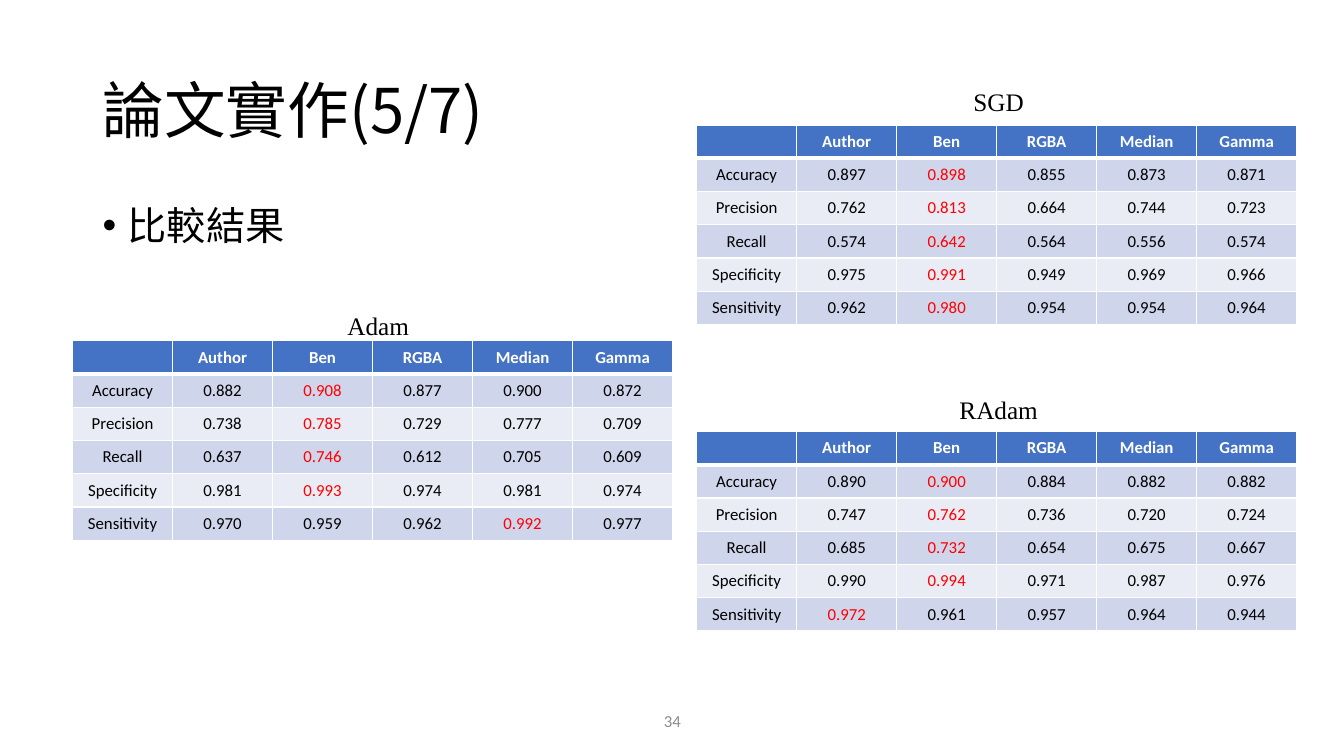
from lxml.etree import SubElement
from pptx import Presentation
from pptx.dml.color import RGBColor
from pptx.enum.text import MSO_ANCHOR as Anchor, PP_ALIGN as Align
from pptx.oxml.ns import qn
from pptx.util import Inches, Pt

COLORS = {"text": "000000", "white": "FFFFFF", "header": "4472C4", "best": "FF0000",
          "odd": "CFD5EA", "even": "E9EBF5", "number": "8C8C8C"}
CJK, SANS, SERIF = "Noto Sans CJK SC", "Calibri", "Times New Roman"
METHODS = ["Author", "Ben", "RGBA", "Median", "Gamma"]
METRICS = ["Accuracy", "Precision", "Recall", "Specificity", "Sensitivity"]
COL_W, ROW_H = 0.992, 0.33
ADAM = [
    [0.882, 0.908, 0.877, 0.900, 0.872],
    [0.738, 0.785, 0.729, 0.777, 0.709],
    [0.637, 0.746, 0.612, 0.705, 0.609],
    [0.981, 0.993, 0.974, 0.981, 0.974],
    [0.970, 0.959, 0.962, 0.992, 0.977],
]
SGD = [
    [0.897, 0.898, 0.855, 0.873, 0.871],
    [0.762, 0.813, 0.664, 0.744, 0.723],
    [0.574, 0.642, 0.564, 0.556, 0.574],
    [0.975, 0.991, 0.949, 0.969, 0.966],
    [0.962, 0.980, 0.954, 0.954, 0.964],
]
RADAM = [
    [0.890, 0.900, 0.884, 0.882, 0.882],
    [0.747, 0.762, 0.736, 0.720, 0.724],
    [0.685, 0.732, 0.654, 0.675, 0.667],
    [0.990, 0.994, 0.971, 0.987, 0.976],
    [0.972, 0.961, 0.957, 0.964, 0.944],
]


def rgb(name):
    """Return the named colour."""
    return RGBColor.from_string(COLORS[name])


def style(p, size, font, color="text", bold=False):
    """Format every run of a paragraph, for Latin and East Asian letters."""
    for r in p.runs:
        r.font.size, r.font.name, r.font.bold = Pt(size), font, bold
        r.font.color.rgb = rgb(color)
        SubElement(r.font._element, qn("a:ea"), typeface=font)


def add_text(s, text, box, size, font, color="text", align=Align.LEFT,
             anchor=Anchor.TOP, spacing=1.0):
    """Add a one-paragraph text box and return its paragraph."""
    tf = s.shapes.add_textbox(*map(Inches, box)).text_frame
    tf.word_wrap, tf.vertical_anchor = True, anchor
    p = tf.paragraphs[0]
    p.text, p.alignment, p.line_spacing = text, align, spacing
    style(p, size, font, color)
    return p


def indent(p, left, first=0.0, bullet=None):
    """Set the paragraph indent and an optional bullet."""
    pPr = p._p.get_or_add_pPr()
    pPr.set("marL", str(Inches(left)))
    pPr.set("indent", str(Inches(first)))
    if bullet:
        SubElement(pPr, qn("a:buFont"), typeface="Arial")
        SubElement(pPr, qn("a:buChar"), char=bullet)


def add_caption(s, text, box):
    """Add the name of an optimizer above its table."""
    indent(add_text(s, text, box, 18, SERIF, align=Align.CENTER, spacing=1.5), 0.5)


def set_borders(cell, top, bottom):
    """Draw white cell borders."""
    tcPr = cell._tc.get_or_add_tcPr()
    for side, width in (("L", 1), ("R", 1), ("T", top), ("B", bottom)):
        ln = SubElement(tcPr, qn(f"a:ln{side}"), w=str(Pt(width)))
        SubElement(SubElement(ln, qn("a:solidFill")), qn("a:srgbClr"), val=COLORS["white"])


def fill_cell(cell, row, text, color, bold):
    """Fill one table cell according to its row."""
    set_borders(cell, 3 if row == 1 else 1, 3 if row == 0 else 1)
    cell.fill.solid()
    cell.fill.fore_color.rgb = rgb("header" if row == 0 else "odd" if row % 2 else "even")
    cell.vertical_anchor = Anchor.MIDDLE
    cell.margin_left = cell.margin_right = Inches(0.07)
    cell.margin_top = cell.margin_bottom = 0
    p = cell.text_frame.paragraphs[0]
    p.text, p.alignment = text, Align.CENTER
    style(p, 12, SANS, color, bold)


def add_scores(s, left, top, scores):
    """Add a table of scores with the best of each metric in red."""
    n_rows, n_cols = len(METRICS) + 1, len(METHODS) + 1
    table = s.shapes.add_table(n_rows, n_cols, Inches(left), Inches(top),
                               Inches(COL_W * n_cols), Inches(ROW_H * n_rows)).table
    for col in table.columns:
        col.width = Inches(COL_W)
    for row in table.rows:
        row.height = Inches(ROW_H)
    for j, name in enumerate([""] + METHODS):
        fill_cell(table.cell(0, j), 0, name, "white", True)
    for i, (metric, values) in enumerate(zip(METRICS, scores), 1):
        fill_cell(table.cell(i, 0), i, metric, "text", False)
        for j, value in enumerate(values, 1):
            color = "best" if value == max(values) else "text"
            fill_cell(table.cell(i, j), i, f"{value:.3f}", color, False)


def main():
    """Build the slide comparing the three optimizers."""
    prs = Presentation()
    prs.slide_width, prs.slide_height = Inches(13.33), Inches(7.5)
    s = prs.slides.add_slide(prs.slide_layouts[6])
    add_text(s, "論文實作(5/7)", (0.92, 0.4, 11.5, 1.45), 44, CJK,
             anchor=Anchor.MIDDLE, spacing=0.9)
    p = add_text(s, "比較結果", (0.92, 2, 11.5, 4.76), 28, CJK, spacing=0.9)
    indent(p, 0.25, -0.25, "•")
    add_text(s, "34", (4.42, 6.95, 4.5, 0.4), 12, SANS, "number",
             Align.CENTER, Anchor.MIDDLE)
    for name, scores, left, top, caption in (
            ("Adam", ADAM, 0.72, 3.38, (2.59, 2.88, 1.82, 0.5)),
            ("SGD", SGD, 6.91, 1.24, (6.32, 0.66, 6.67, 0.5)),
            ("RAdam", RADAM, 6.91, 4.28, (6.32, 3.71, 6.67, 0.5))):
        add_scores(s, left, top, scores)
        add_caption(s, name, caption)
    prs.save("out.pptx")


if __name__ == "__main__":
    main()
